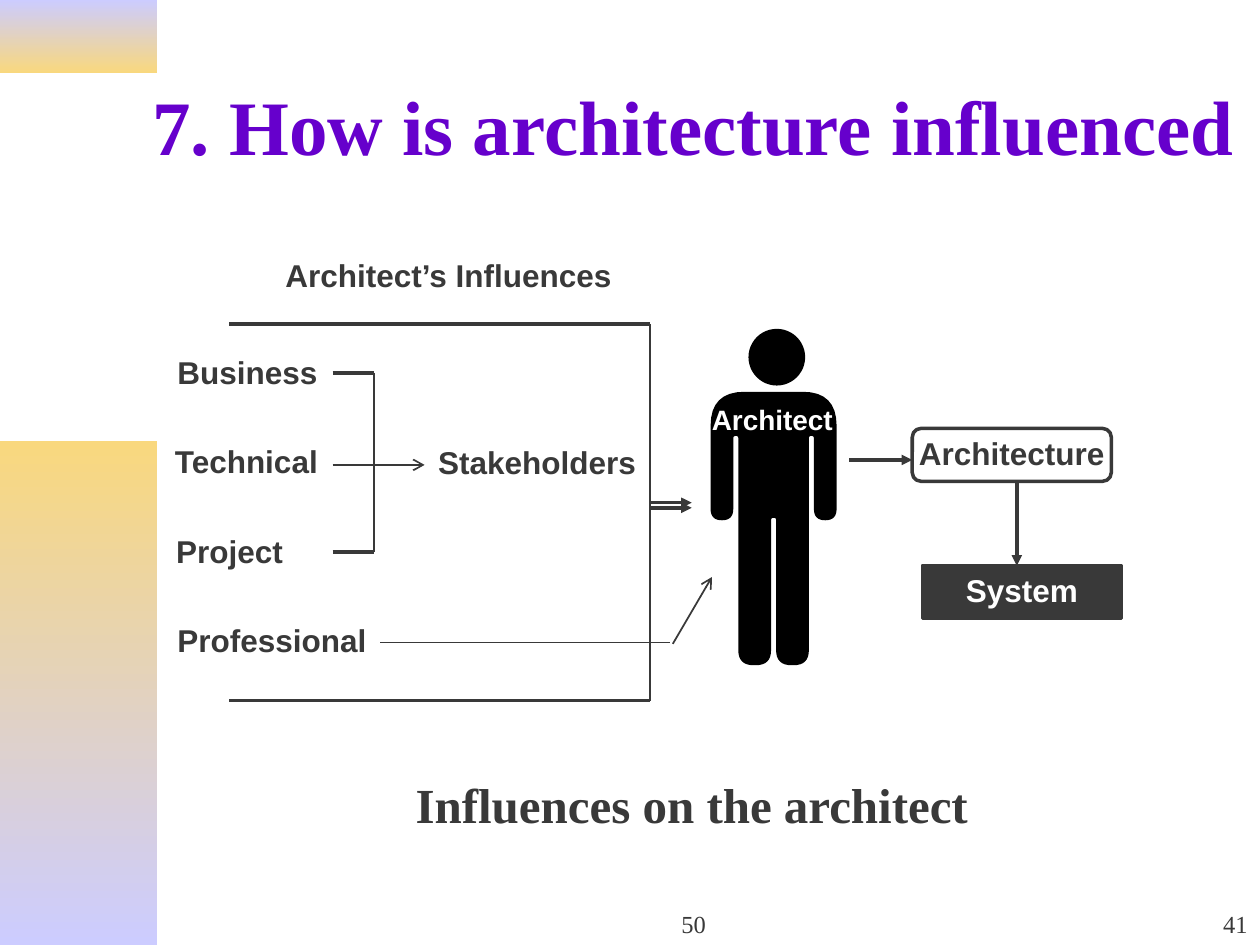
from lxml import etree
from pptx import Presentation, util as u
from pptx.dml.color import RGBColor
from pptx.enum import shapes as s, text as t
from pptx.oxml.ns import qn

COLUMNS, ROWS = 100, 75
WIDTH, HEIGHT = u.Inches(10), u.Inches(7.5)
INK, WHITE, BLACK, PURPLE = "393939", "FFFFFF", "000000", "6600CC"
LILAC, GOLD = "CCCCFF", "F9D87E"
SANS, SERIF = "Arial", "Times New Roman"
LEFT, CENTER, RIGHT = t.PP_ALIGN.LEFT, t.PP_ALIGN.CENTER, t.PP_ALIGN.RIGHT


def col(n):
    return round(WIDTH * n / COLUMNS)


def row(n):
    return round(HEIGHT * n / ROWS)


def area(x, y, w, h):
    return col(x), row(y), col(w), row(h)


def rgb(color):
    return RGBColor.from_string(color)


def write(shape, words, size=18, font=SANS, color=INK, bold=True, align=LEFT,
          anchor=t.MSO_ANCHOR.TOP, spacing=0.9, wrap=False):
    frame = shape.text_frame
    frame.word_wrap = wrap
    frame.vertical_anchor = anchor
    paragraph = frame.paragraphs[0]
    paragraph.alignment = align
    paragraph.line_spacing = spacing
    run = paragraph.add_run()
    run.text = words
    run.font.size, run.font.name, run.font.bold = u.Pt(size), font, bold
    run.font.color.rgb = rgb(color)


def label(slide, words, box, **style):
    write(slide.shapes.add_textbox(*area(*box)), words, **style)


def paint(shape, fill=None, line=None):
    shape.shadow.inherit = False
    if fill:
        shape.fill.solid()
        shape.fill.fore_color.rgb = rgb(fill)
    else:
        shape.fill.background()
    if line:
        shape.line.color.rgb = rgb(line)
        shape.line.width = u.Pt(2)
    else:
        shape.line.fill.background()


def block(slide, kind, box, fill=None, line=None):
    shape = slide.shapes.add_shape(kind, *area(*box))
    paint(shape, fill, line)
    return shape


def gradient_band(slide, box, top, bottom):
    band = block(slide, s.MSO_SHAPE.RECTANGLE, box)
    band.fill.gradient()
    band.fill.gradient_angle = 270
    for stop, color, position in zip(band.fill.gradient_stops, (top, bottom), (0, 1)):
        stop.color.rgb = rgb(color)
        stop.position = position


def line(slide, start, end, width=2, tip=None):
    connector = slide.shapes.add_connector(
        s.MSO_CONNECTOR.STRAIGHT, col(start[0]), row(start[1]), col(end[0]), row(end[1]))
    connector.line.color.rgb = rgb(INK)
    connector.line.width = u.Pt(width)
    if tip:
        etree.SubElement(connector.line._get_or_add_ln(), qn("a:tailEnd"), type=tip)
    etree.SubElement(connector._element.spPr, qn("a:effectLst"))


def rounded_outline(corners, steps=8):
    """Points along a right-angled outline whose (x, y, radius) corners are arcs."""
    def toward(x, y, radius, other):
        dx, dy = other[0] - x, other[1] - y
        share = radius / (abs(dx) + abs(dy))
        return x + dx * share, y + dy * share

    points = []
    for i, (x, y, radius) in enumerate(corners):
        x0, y0 = toward(x, y, radius, corners[i - 1])
        x1, y1 = toward(x, y, radius, corners[(i + 1) % len(corners)])
        for k in range(steps + 1):
            f = k / steps
            a, b, c = (1 - f) ** 2, 2 * f * (1 - f), f ** 2
            points.append((col(a * x0 + b * x + c * x1), row(a * y0 + b * y + c * y1)))
    return points


def architect_figure(slide):
    block(slide, s.MSO_SHAPE.OVAL, (59.4, 26.1, 4.5, 4.5), fill=BLACK)
    axis = 61.4
    left_half = [(56.4, 31.1, 2.7), (56.4, 41.3, 0.9), (58.2, 41.3, 0.9),
                 (58.2, 34.6, 0.2), (58.6, 34.6, 0.2), (58.6, 52.8, 1.2),
                 (61.2, 52.8, 1.2), (61.2, 41.1, 0.2)]
    right_half = [(2 * axis - x, y, r) for x, y, r in reversed(left_half)]
    first, *rest = rounded_outline(left_half + right_half)
    builder = slide.shapes.build_freeform(*first)
    builder.add_line_segments(rest, close=True)
    paint(builder.convert_to_shape(), fill=BLACK)
    label(slide, "Architect", (55.5, 31.8, 11.6, 3.4), size=16, color=WHITE, align=CENTER)


def influences(slide):
    label(slide, "Architect’s Influences", (21.6, 20.2, 28, 3.7), align=CENTER)
    sources = [("Business", 13.1, 13.1), ("Technical", 12.9, 13.5),
               ("Project", 13, 10.5), ("Professional", 13.1, 17)]
    for i, (words, x, width) in enumerate(sources):
        label(slide, words, (x, 27.9 + 7.07 * i, width, 3.7))
    label(slide, "Stakeholders", (33.8, 35, 17.7, 3.7))

    for start, end, top, bottom in ((18.2, 51.6, 25.7, 55.6), (26.4, 29.7, 29.6, 43.8)):
        for y in (top, bottom):
            line(slide, (start, y), (end, y))
        line(slide, (end, top), (end, bottom), width=1)
    for y in (39.9, 40.3):
        line(slide, (51.6, y), (54.9, y), tip="triangle")
    line(slide, (26.4, 36.9), (33.7, 36.9), width=1, tip="arrow")
    line(slide, (30.2, 51), (53.2, 51), width=1)
    line(slide, (53.4, 51.1), (56.5, 45.8), width=1, tip="arrow")


def results(slide):
    middle = {"align": CENTER, "anchor": t.MSO_ANCHOR.MIDDLE}
    architecture = block(slide, s.MSO_SHAPE.ROUNDED_RECTANGLE, (72.4, 34, 15.8, 4.2), line=INK)
    write(architecture, "Architecture", **middle)
    system = block(slide, s.MSO_SHAPE.RECTANGLE, (73.2, 44.9, 15.8, 4.2), fill=INK, line=INK)
    write(system, "System", color=WHITE, **middle)
    line(slide, (67.4, 36.5), (72.4, 36.5), tip="triangle")
    line(slide, (80.7, 38.2), (80.7, 44.9), tip="triangle")


def main():
    deck = Presentation()
    deck.slide_width, deck.slide_height = WIDTH, HEIGHT
    slide = deck.slides.add_slide(deck.slide_layouts[6])

    gradient_band(slide, (0, 0, 12.5, 5.8), LILAC, GOLD)
    gradient_band(slide, (0, 35, 12.5, 40), GOLD, LILAC)
    label(slide, "7. How is architecture influenced", (11.1, 3.3, 88.5, 13.2), size=44,
          font=SERIF, color=PURPLE, anchor=t.MSO_ANCHOR.MIDDLE, spacing=1, wrap=True)
    for number, x, width, align in (("50", 39.2, 31.7, CENTER), ("41", 79.2, 20.8, RIGHT)):
        label(slide, number, (x, 70, width, 5), size=14, font=SERIF, bold=False,
              align=align, anchor=t.MSO_ANCHOR.BOTTOM, spacing=1, wrap=True)

    results(slide)
    architect_figure(slide)
    influences(slide)
    label(slide, "Influences on the architect", (32, 61, 45.9, 5.7), size=28,
          font=SERIF, spacing=1)
    deck.save("out.pptx")


if __name__ == "__main__":
    main()
